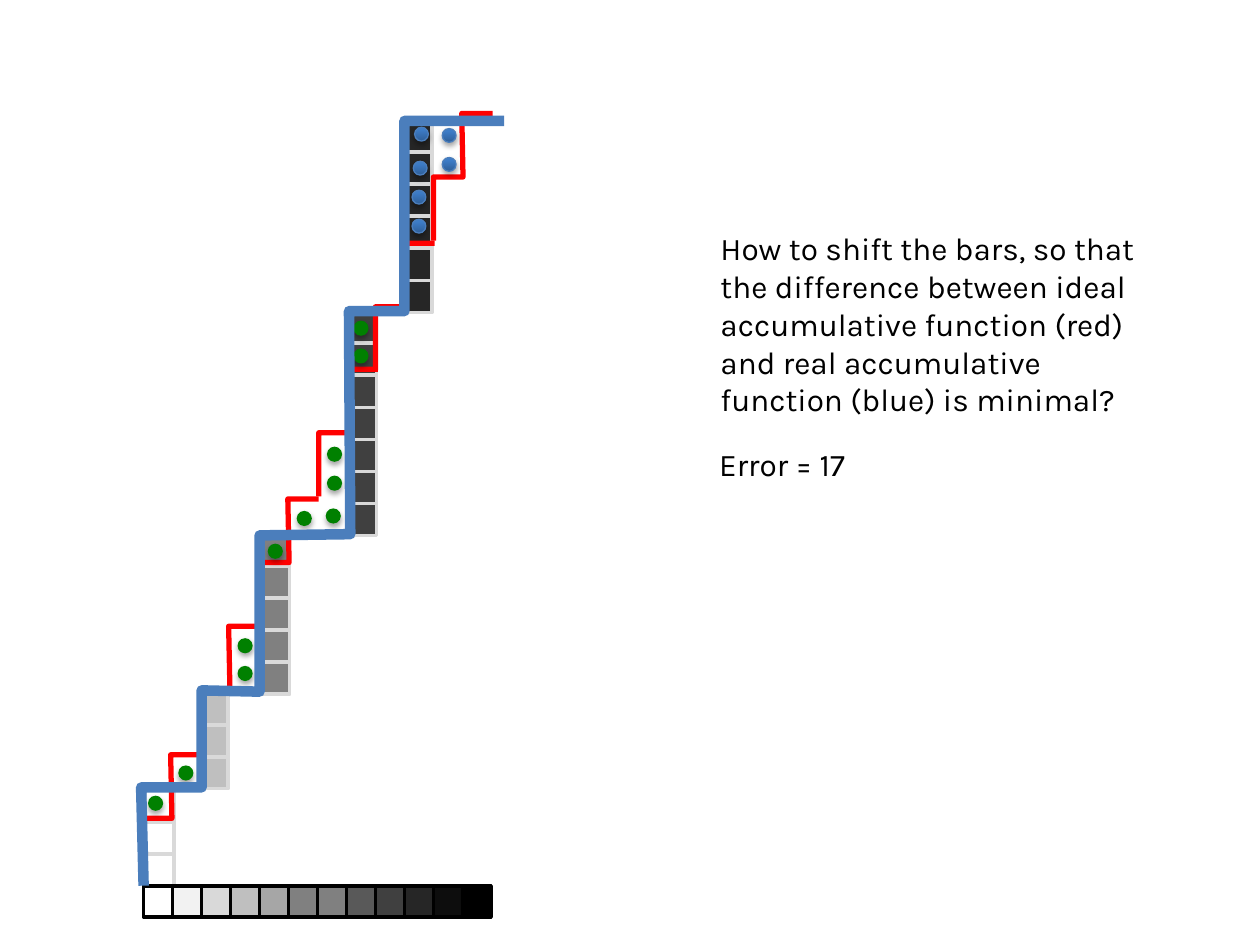
from lxml import etree
from pptx import Presentation
from pptx.dml.color import RGBColor
from pptx.enum.shapes import MSO_SHAPE
from pptx.enum.text import MSO_AUTO_SIZE
from pptx.oxml.ns import qn
from pptx.util import Inches, Pt

RECT = MSO_SHAPE.RECTANGLE
OVAL = MSO_SHAPE.OVAL
GROW = MSO_AUTO_SIZE.SHAPE_TO_FIT_TEXT

FONT = "Karla"
BLUE = "4B7EBC"
GREEN = "008000"
RED = "FF0000"
WIDE, TALL, DOT = 0.23, 0.25, 0.11

BARS = [
    (1.15, 6.27, 0.76, 3, "FFFFFF"),
    (1.58, 5.50, 0.76, 3, "BFBFBF"),
    (2.07, 4.24, 1.27, 5, "808080"),
    (2.76, 2.47, 1.78, 7, "404040"),
    (3.20, 0.95, 1.53, 6, "262626"),
]
TONES = ["FFFFFF", "F2F2F2", "D9D9D9", "BFBFBF", "A6A6A6", "808080",
         "808080", "595959", "404040", "262626", "0D0D0D", "000000"]
STEPS = [(1.13, 5.99), (1.59, 4.97), (2.06, 3.96),
         (2.53, 2.93), (2.98, 1.93), (3.44, 0.90)]
REAL = [(1.14, 7.03), (1.12, 6.25), (1.60, 6.25), (1.60, 5.48),
        (2.06, 5.49), (2.06, 4.25), (2.78, 4.24), (2.77, 2.47),
        (3.21, 2.47), (3.21, 0.96), (4.00, 0.96)]
OVER = [(3.51, 1.25), (3.51, 1.02), (3.27, 1.74),
        (3.27, 1.51), (3.28, 1.28), (3.29, 1.01)]
UNDER = [(1.18, 6.32), (1.42, 6.08), (1.89, 5.29), (1.89, 5.07),
         (2.13, 4.32), (2.81, 2.77), (2.81, 2.55), (2.60, 3.78),
         (2.60, 3.55), (2.36, 4.06), (2.59, 4.04)]


def color(code):
    return RGBColor.from_string(code)


def outline(shape, code, width):
    shape.line.color.rgb = color(code)
    shape.line.width = Pt(width)
    shape.shadow.inherit = False


def add_cell(slide, left, top, width, height, fill, line):
    cell = slide.shapes.add_shape(
        RECT, Inches(left), Inches(top), Inches(width), Inches(height))
    cell.fill.solid()
    cell.fill.fore_color.rgb = color(fill)
    outline(cell, line, 2)


def add_bar(slide, left, top, width, height, count, fill):
    step = height / count
    for row in range(count):
        add_cell(slide, left, top + row * step, width, step, fill, "D9D9D9")


def add_scale(slide, left, top, width, height):
    step = width / len(TONES)
    for col, tone in enumerate(TONES):
        add_cell(slide, left + col * step, top, step, height, tone, "000000")


def add_path(slide, points, code, width):
    spots = [(Inches(x), Inches(y)) for x, y in points]
    pen = slide.shapes.build_freeform(*spots[0], scale=1.0)
    pen.add_line_segments(spots[1:], close=False)
    path = pen.convert_to_shape()
    path.fill.background()
    outline(path, code, width)


def add_step(slide, left, top, width, height):
    mid, half = left + width / 2, top + height / 2
    points = [(left, top + height), (left, half), (mid, half),
              (mid - 0.01, top), (left + width, top)]
    add_path(slide, points, RED, 3)


def add_shade(shape):
    effects = shape._element.spPr.find(qn("a:effectLst"))
    shade = etree.SubElement(
        effects, qn("a:outerShdw"), blurRad=str(Pt(3.1)), dist=str(Pt(1.8)),
        dir="5400000", rotWithShape="0")
    tint = etree.SubElement(shade, qn("a:srgbClr"), val="000000")
    etree.SubElement(tint, qn("a:alpha"), val="35000")


def add_dot(slide, left, top, size, line, blend=None):
    dot = slide.shapes.add_shape(
        OVAL, Inches(left), Inches(top), Inches(size), Inches(size))
    if blend:
        dot.fill.gradient()
        dot.fill.gradient_angle = 90
        for stop, (place, code) in zip(dot.fill.gradient_stops, blend):
            stop.position = place
            stop.color.rgb = color(code)
    else:
        dot.fill.solid()
        dot.fill.fore_color.rgb = color(line)
    outline(dot, line, 0.75)
    add_shade(dot)


def add_text(slide, text, left, top, width, height, size=18, code="000000"):
    box = slide.shapes.add_textbox(
        Inches(left), Inches(top), Inches(width), Inches(height))
    frame = box.text_frame
    frame.word_wrap = True
    frame.auto_size = GROW
    run = frame.paragraphs[0].add_run()
    run.text = text
    run.font.name = FONT
    run.font.size = Pt(size)
    run.font.color.rgb = color(code)


def main():
    deck = Presentation()
    deck.slide_width, deck.slide_height = Inches(10), Inches(7.5)
    slide = deck.slides.add_slide(deck.slide_layouts[6])
    for left, top, height, count, fill in BARS:
        add_bar(slide, left, top, WIDE, height, count, fill)
    add_scale(slide, 1.14, 7.03, WIDE * len(TONES), TALL)
    for left, top in STEPS:
        add_step(slide, left, top, 0.47, 1.01)
    add_text(slide, "How to shift the bars, so that the difference between "
             "ideal accumulative function (red) and real accumulative "
             "function (blue) is minimal?",
             left=5.62, top=1.77, width=3.54, height=1.62)
    add_text(slide, "Error = 17", left=5.61, top=3.48, width=3.54, height=0.4)
    for left, top in OVER:
        add_dot(slide, left, top, DOT, BLUE,
                blend=[(0, "2F5F99"), (0.8, "3D7CC7")])
    for left, top in UNDER:
        add_dot(slide, left, top, DOT, GREEN)
    add_path(slide, REAL, BLUE, 6)
    deck.save("out.pptx")


if __name__ == "__main__":
    main()
